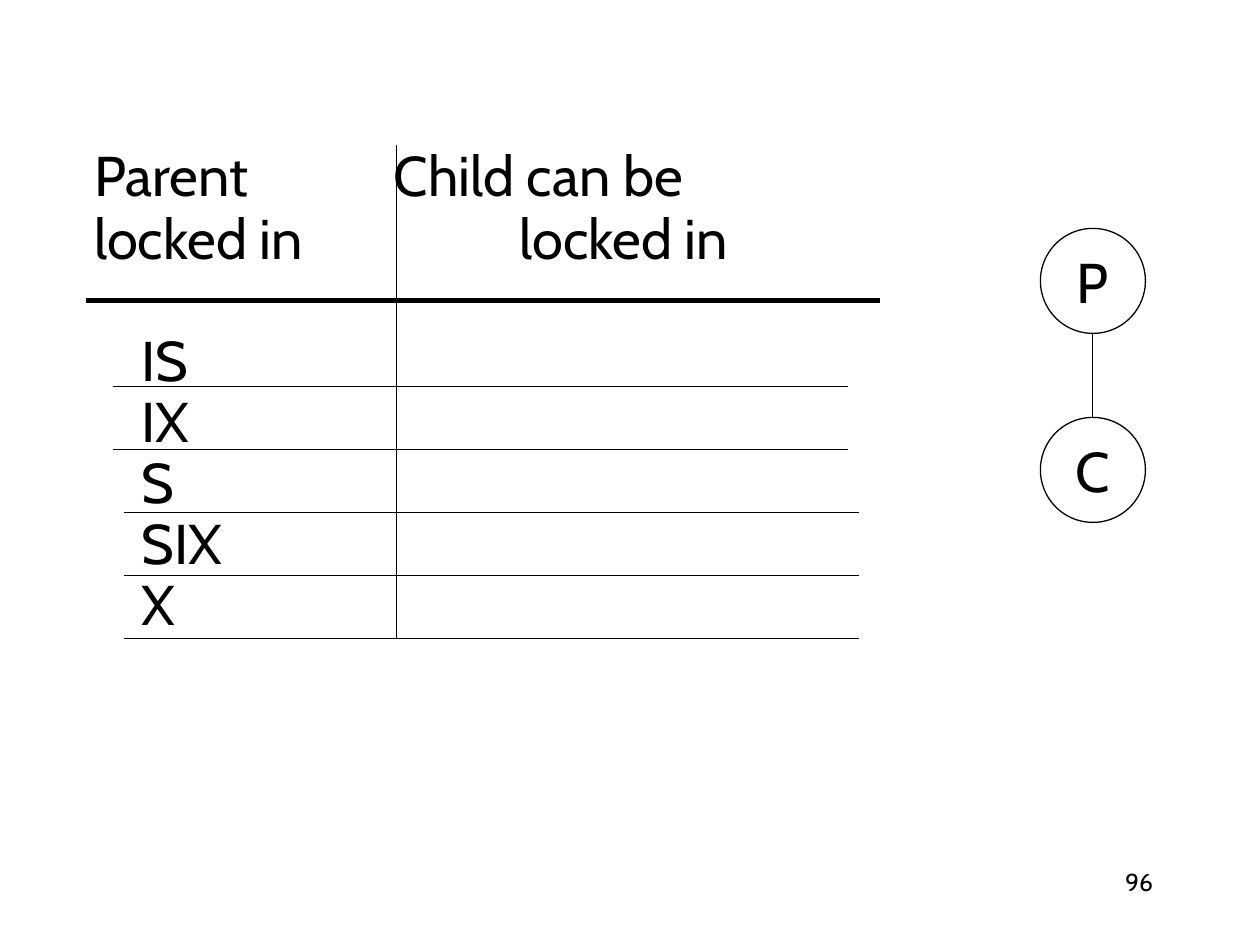
from lxml.etree import SubElement
from pptx import Presentation
from pptx.dml.color import RGBColor
from pptx.enum.shapes import MSO_CONNECTOR, MSO_SHAPE
from pptx.enum.text import MSO_ANCHOR, PP_ALIGN
from pptx.oxml.ns import qn
from pptx.util import Pt

BLACK = RGBColor(0, 0, 0)
WHITE = RGBColor(255, 255, 255)
FONT = "Cabin"
TEXT_SIZE = 32
TAB_WIDTH = 72
INDENT = 27
CIRCLE_SIZE = 60
ROW_HEIGHT = 36
FIRST_RULE_TOP = 221
RULE_WIDTH = 420
RULE_LEFTS = [64.8, 64.8, 70.8, 70.8, 70.8]
HEADER_LINES = ["Parent\t\tChild can be", "locked in\t\tlocked in"]
LOCK_MODES = ["IS", "IX", "S", "SIX", "X"]


def format_runs(paragraph, size):
    for run in paragraph.runs:
        run.font.name = FONT
        run.font.size = Pt(size)
        run.font.color.rgb = BLACK


def add_line(slide, start, end, weight=0.75):
    points = [Pt(value) for value in (*start, *end)]
    connector = slide.shapes.add_connector(MSO_CONNECTOR.STRAIGHT, *points)
    connector.line.color.rgb = BLACK
    connector.line.width = Pt(weight)
    SubElement(connector._element.spPr, qn("a:effectLst"))


def add_node(slide, label, left, top):
    shape = slide.shapes.add_shape(
        MSO_SHAPE.OVAL, Pt(left), Pt(top), Pt(CIRCLE_SIZE), Pt(CIRCLE_SIZE)
    )
    shape.shadow.inherit = False
    shape.fill.solid()
    shape.fill.fore_color.rgb = WHITE
    shape.line.color.rgb = BLACK
    shape.line.width = Pt(0.75)
    text_frame = shape.text_frame
    text_frame.text = label
    text_frame.word_wrap = False
    text_frame.vertical_anchor = MSO_ANCHOR.MIDDLE
    paragraph = text_frame.paragraphs[0]
    paragraph.alignment = PP_ALIGN.CENTER
    format_runs(paragraph, TEXT_SIZE)


def add_text_box(slide, text, left, top, width, height, size):
    shape = slide.shapes.add_textbox(Pt(left), Pt(top), Pt(width), Pt(height))
    text_frame = shape.text_frame
    text_frame.word_wrap = True
    text_frame.text = text
    for paragraph in text_frame.paragraphs:
        format_runs(paragraph, size)
    return text_frame.paragraphs


def set_hanging_tabs(paragraph):
    properties = paragraph._p.get_or_add_pPr()
    properties.set("marL", str(Pt(INDENT)))
    properties.set("indent", str(Pt(-INDENT)))
    properties.set("defTabSz", str(Pt(TAB_WIDTH)))
    tab_list = SubElement(properties, qn("a:tabLst"))
    for stop in range(8):
        SubElement(tab_list, qn("a:tab"), pos=str(Pt(stop * TAB_WIDTH)), algn="l")


def add_lock_table(slide):
    lines = HEADER_LINES + [f"\t{mode}" for mode in LOCK_MODES]
    paragraphs = add_text_box(slide, "\n".join(lines), 46.8, 77, 612, 324, TEXT_SIZE)
    for index, paragraph in enumerate(paragraphs):
        paragraph.space_before = Pt(42.5 if index == len(HEADER_LINES) else 8)
        if index > 0:
            paragraph.line_spacing = 0.7
        set_hanging_tabs(paragraph)

    add_line(slide, (226.5, 82.8), (226.5, 365))
    for row, left in enumerate(RULE_LEFTS):
        top = FIRST_RULE_TOP + row * ROW_HEIGHT
        add_line(slide, (left, top), (left + RULE_WIDTH, top))
    add_line(slide, (49, 171.8), (502.6, 171.8), 3)


def add_hierarchy(slide):
    left, parent_top, child_top = 594.5, 130.5, 238.5
    center = left + CIRCLE_SIZE / 2
    add_node(slide, "P", left, parent_top)
    add_node(slide, "C", left, child_top)
    add_line(slide, (center, parent_top + CIRCLE_SIZE), (center, child_top))


def main():
    presentation = Presentation()
    presentation.slide_width = Pt(720)
    presentation.slide_height = Pt(540)
    slide = presentation.slides.add_slide(presentation.slide_layouts[6])
    add_lock_table(slide)
    add_hierarchy(slide)
    page_number = add_text_box(slide, "96", 516, 492, 150, 36, 14)[0]
    page_number.alignment = PP_ALIGN.RIGHT
    presentation.save("out.pptx")


if __name__ == "__main__":
    main()
